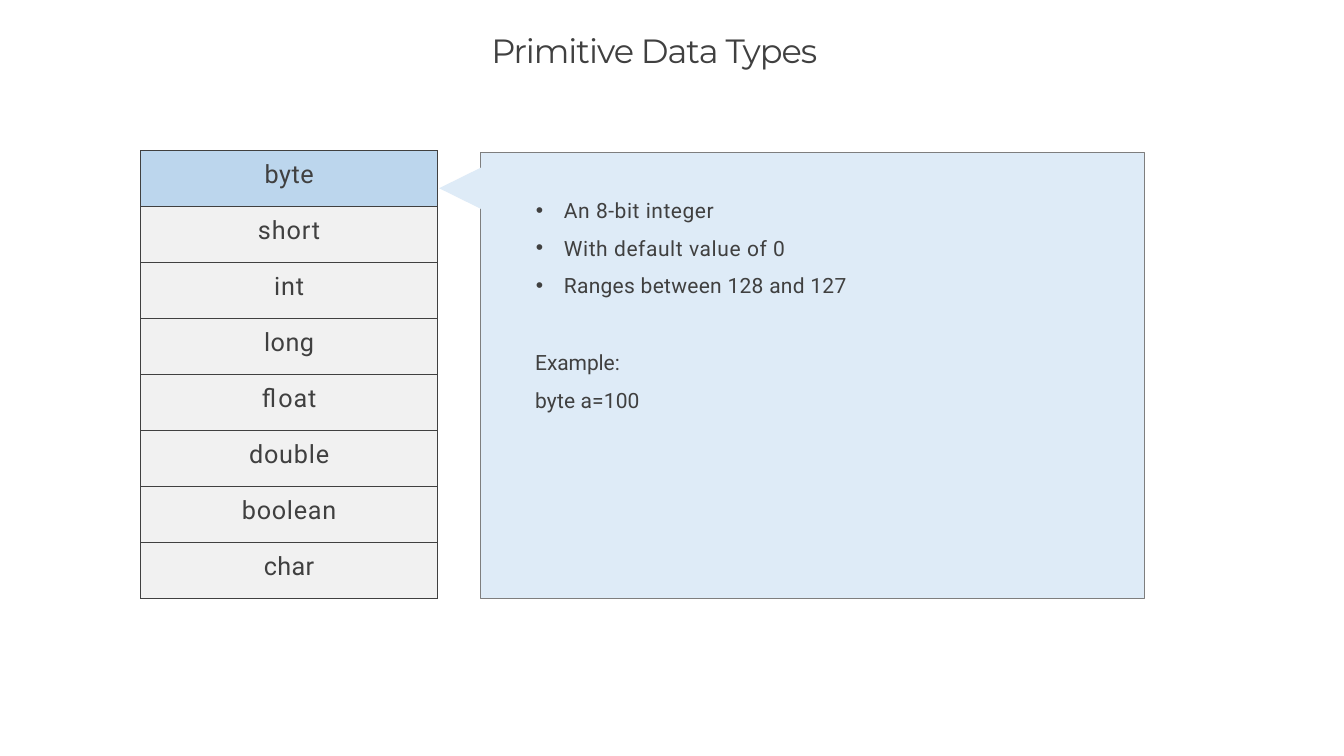
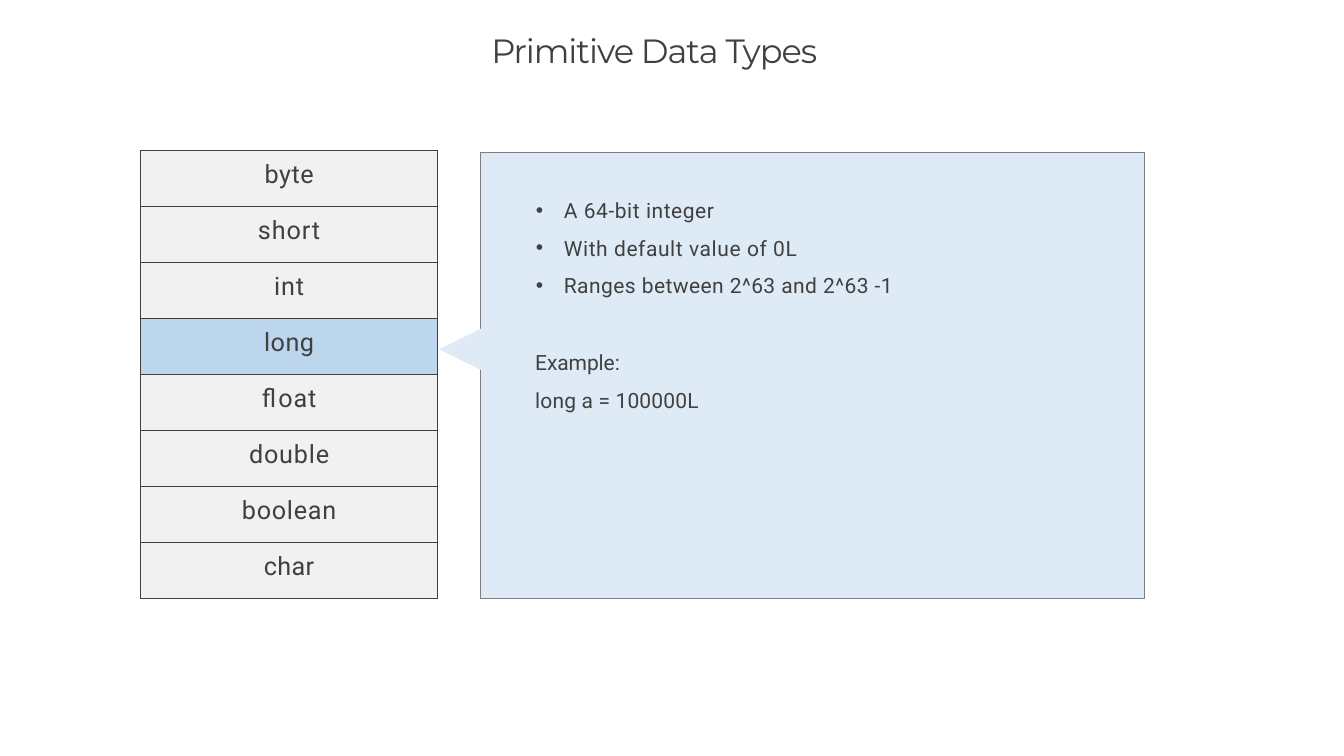
from pptx import Presentation
from pptx.dml.color import RGBColor
from pptx.enum.text import MSO_ANCHOR, MSO_AUTO_SIZE, PP_ALIGN
from pptx.oxml.ns import qn
from pptx.util import Inches, Pt
from lxml.etree import SubElement

COLORS = {
    "text": "404040",
    "panel": "DEEBF7",
    "panel_line": "7E7E7E",
    "cell": "F1F1F1",
    "active": "BCD6ED",
}
TITLE_FONT, BODY_FONT = "Montserrat", "Roboto"

TYPES = [("byte", 0.5), ("short", 0.9), ("int", 0.9), ("long", 0.5),
         ("float", 0.8), ("double", 0.8), ("boolean", 0.7), ("char", 0.3)]

SLIDES = [
    {
        "active": "byte",
        "pointer_y": 0.47,
        "facts": [("An 8-bit integer", 0.5),
                  ("With default value of 0", 0.55),
                  ("Ranges between 128 and 127", 0.26)],
        "example": [("Example:", -0.1), ("byte a=100", 0.1)],
    },
    {
        "active": "long",
        "pointer_y": 2.6,
        "facts": [("A 64-bit integer", 0.5),
                  ("With default value of 0L", 0.55),
                  ("Ranges between 2^63 and 2^63 -1", 0.4)],
        "example": [("Example:", -0.1), ("long a = 100000L", 0.15)],
    },
]


def rgb(name):
    return RGBColor.from_string(COLORS[name])


def write(p, text, size=20, font=BODY_FONT, spacing=0, before=0,
          align=PP_ALIGN.LEFT, bullet=False):
    p.alignment = align
    p.space_before = Pt(before)
    if bullet:
        pPr = p._p.get_or_add_pPr()
        pPr.set("marL", str(Inches(0.38)))
        pPr.set("indent", str(Inches(-0.37)))
        SubElement(pPr, qn("a:buFont")).set("typeface", "Arial")
        SubElement(pPr, qn("a:buChar")).set("char", "•")
    r = p.add_run()
    r.text = text
    r.font.size = Pt(size)
    r.font.name = font
    r.font.color.rgb = rgb("text")
    r.font._element.set("spc", str(round(spacing * 100)))


def set_frame(tf, top):
    tf.margin_left = tf.margin_right = tf.margin_bottom = 0
    tf.margin_top = Inches(top)
    tf.vertical_anchor = MSO_ANCHOR.TOP
    tf.auto_size = MSO_AUTO_SIZE.NONE
    tf.word_wrap = True


def add_title(s, x, y, w, h):
    sp = s.shapes.title
    sp.left, sp.top, sp.width, sp.height = map(Inches, (x, y, w, h))
    set_frame(sp.text_frame, 0.01)
    write(sp.text_frame.paragraphs[0], "Primitive Data Types", size=32,
          font=TITLE_FONT, spacing=-1)


def add_outline(s, points, line=None):
    start, *rest = [(Inches(x), Inches(y)) for x, y in points]
    builder = s.shapes.build_freeform(*start)
    builder.add_line_segments(rest, close=True)
    sp = builder.convert_to_shape()
    sp.shadow.inherit = False
    sp.fill.solid()
    sp.fill.fore_color.rgb = rgb("panel")
    if line:
        sp.line.color.rgb = rgb(line)
        sp.line.width = Pt(0.96)
    else:
        sp.line.fill.background()


def add_panel(s, x, y, w, h, pointer_y, facts, example):
    add_outline(s, [(x, y), (x + w, y), (x + w, y + h), (x, y + h)],
                line="panel_line")
    tip, base, half = x - 0.55, x + 0.28, 0.41
    mid = y + pointer_y
    add_outline(s, [(base, mid - half), (tip, mid), (base, mid + half)])

    tf = s.shapes.add_textbox(Inches(x + 0.72), Inches(y + 0.41),
                              Inches(4.82), Inches(3.03)).text_frame
    set_frame(tf, 0.18)
    for i, (text, spacing) in enumerate(facts + example):
        p = tf.add_paragraph() if i else tf.paragraphs[0]
        before = 49 if i == len(facts) else 12 if i else 0
        write(p, text, spacing=spacing, before=before, bullet=i < len(facts))


def add_borders(cell):
    tcPr = cell._tc.get_or_add_tcPr()
    for side in ("lnL", "lnR", "lnT", "lnB"):
        ln = SubElement(tcPr, qn(f"a:{side}"), w=str(Pt(0.75)))
        fill = SubElement(ln, qn("a:solidFill"))
        SubElement(fill, qn("a:srgbClr"), val=COLORS["text"])


def add_type_table(s, x, y, w, h, active):
    table = s.shapes.add_table(len(TYPES), 1, Inches(x), Inches(y),
                               Inches(w), Inches(h)).table
    table.first_row = table.horz_banding = False
    for i, (name, spacing) in enumerate(TYPES):
        table.rows[i].height = Inches(h / len(TYPES))
        cell = table.cell(i, 0)
        cell.margin_left = cell.margin_right = cell.margin_bottom = 0
        cell.margin_top = Inches(0.13)
        add_borders(cell)
        cell.fill.solid()
        cell.fill.fore_color.rgb = rgb("active" if name == active else "cell")
        write(cell.text_frame.paragraphs[0], name, size=24, spacing=spacing,
              align=PP_ALIGN.CENTER)


def add_type_slide(prs, active, pointer_y, facts, example):
    s = prs.slides.add_slide(prs.slide_layouts[5])
    add_title(s, 6.5, 0.38, 4.79, 0.56)
    add_panel(s, 6.36, 2.02, 8.78, 5.9, pointer_y, facts, example)
    add_type_table(s, 1.86, 1.99, 3.93, 5.92, active)


def main():
    prs = Presentation()
    prs.slide_width, prs.slide_height = Inches(17.78), Inches(10)
    for content in SLIDES:
        add_type_slide(prs, **content)
    prs.save("out.pptx")


if __name__ == "__main__":
    main()
